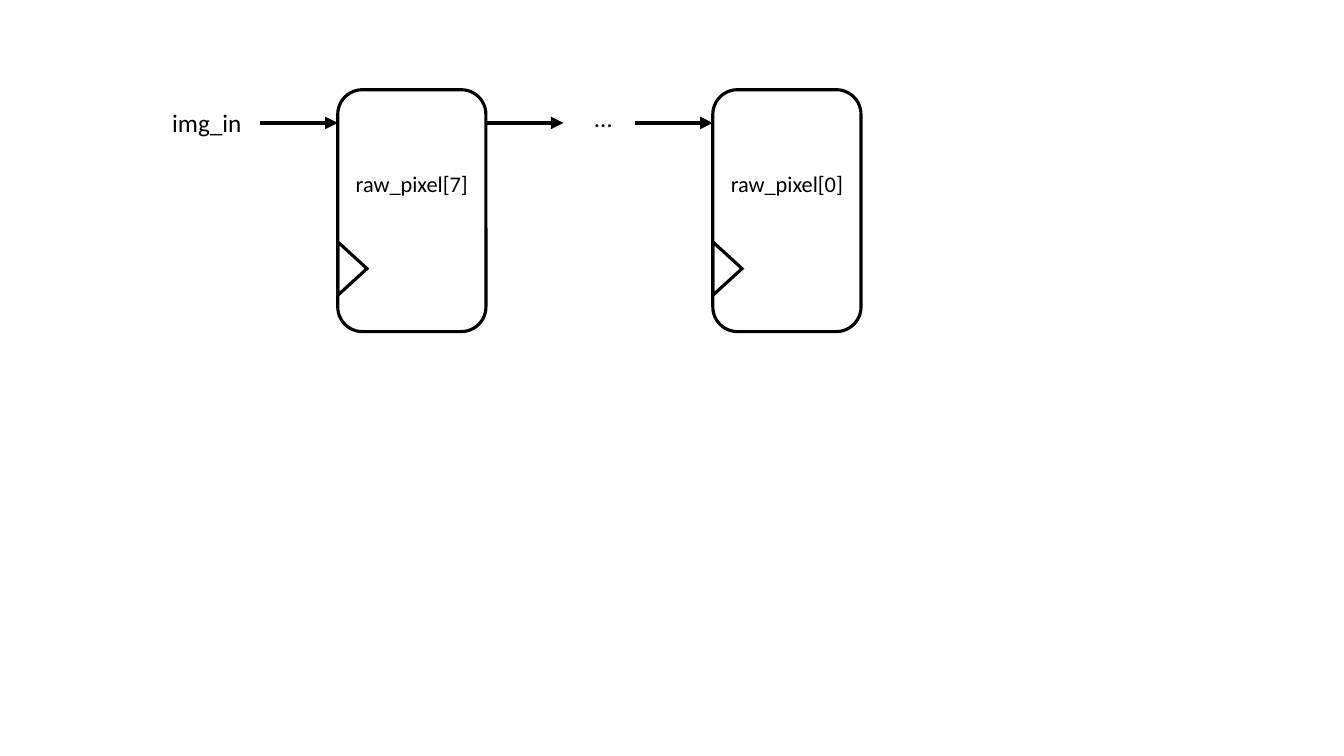
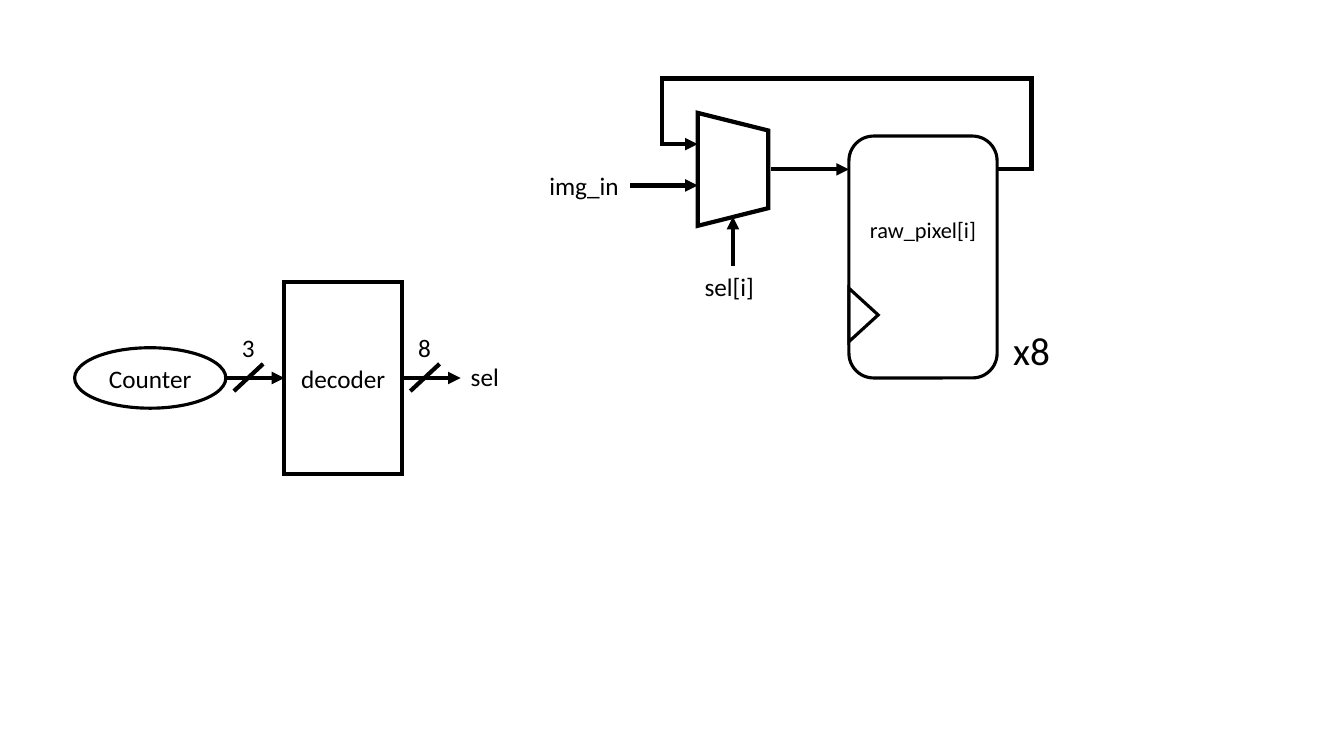
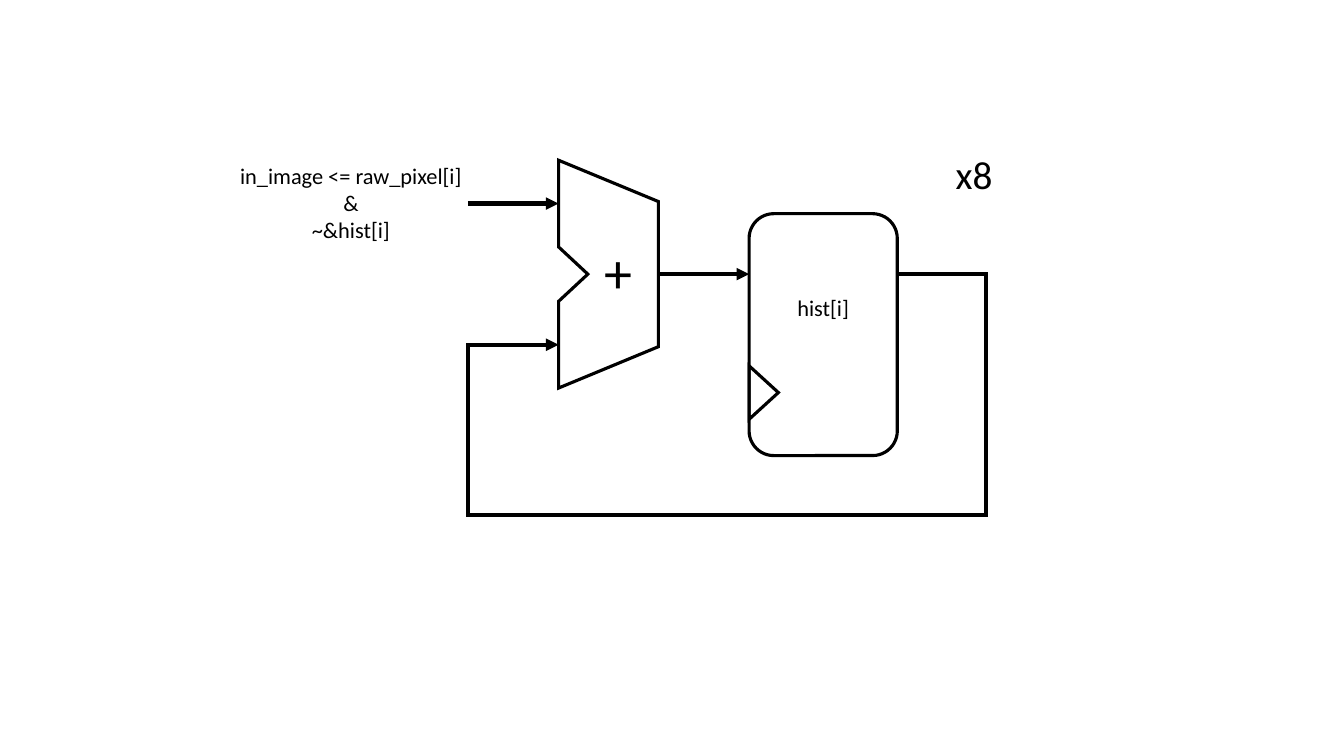
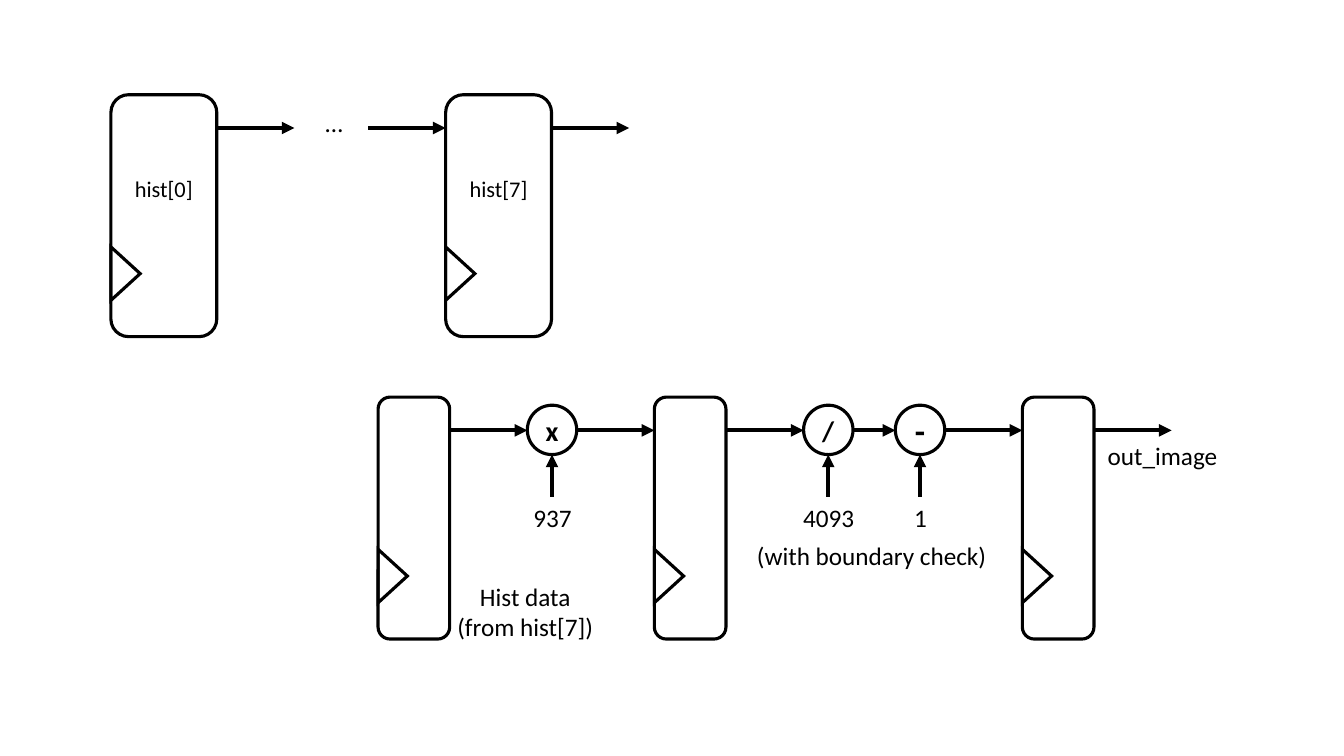
"""Build four slides of register and datapath block diagrams."""
from dataclasses import dataclass

from lxml import etree
from pptx import Presentation
from pptx.dml.color import RGBColor
from pptx.enum.shapes import MSO_CONNECTOR, MSO_SHAPE
from pptx.enum.text import MSO_ANCHOR, PP_ALIGN
from pptx.oxml.ns import qn
from pptx.util import Inches, Pt

ROUNDED, RECTANGLE, OVAL = MSO_SHAPE.ROUNDED_RECTANGLE, MSO_SHAPE.RECTANGLE, MSO_SHAPE.OVAL
TRIANGLE, TRAPEZOID = MSO_SHAPE.ISOSCELES_TRIANGLE, MSO_SHAPE.TRAPEZOID
STRAIGHT = MSO_CONNECTOR.STRAIGHT
LEFT, CENTER, MIDDLE = PP_ALIGN.LEFT, PP_ALIGN.CENTER, MSO_ANCHOR.MIDDLE


@dataclass(frozen=True)
class Theme:
    """Colours, type sizes and line weights of the deck."""
    ink: RGBColor = RGBColor(0, 0, 0)
    font: str = "Calibri"
    register: int = 16
    signal: int = 18
    operator: int = 20
    minus: int = 24
    repeat: int = 28
    adder: int = 40
    outline: float = 2.25
    wire: float = 3


@dataclass(frozen=True)
class Box:
    """A rectangle on a grid of one-inch columns and rows."""
    left: float
    top: float
    width: float
    height: float

    @property
    def right(self):
        """Right edge."""
        return self.left + self.width

    @property
    def bottom(self):
        """Bottom edge."""
        return self.top + self.height

    @property
    def cx(self):
        """Horizontal centre."""
        return self.left + self.width / 2

    @property
    def cy(self):
        """Vertical centre."""
        return self.top + self.height / 2

    def emu(self):
        """Position and size as lengths for python-pptx."""
        return [Inches(n) for n in (self.left, self.top, self.width, self.height)]


THEME = Theme()
SLIDE = Box(0, 0, 13.33, 7.5)
REGISTER_WIDTH, REGISTER_HEIGHT = 1.47, 2.4
PIN = 0.33
WIRE = 0.77
LINE = 0.4


def stroke(shape, weight, arrow=False):
    """Draw an ink line with sharp corners and an optional arrowhead."""
    shape.line.color.rgb = THEME.ink
    shape.line.width = Pt(weight)
    properties = shape._element.spPr
    line = properties.find(qn("a:ln"))
    etree.SubElement(line, qn("a:miter"), lim="800000")
    if arrow:
        etree.SubElement(line, qn("a:tailEnd"), type="triangle")
    if properties.find(qn("a:effectLst")) is None:
        etree.SubElement(properties, qn("a:effectLst"))


def write(shape, text, size, align=CENTER, bold=False):
    """Write one paragraph for each line of text."""
    frame = shape.text_frame
    frame.text = text
    for paragraph in frame.paragraphs:
        paragraph.alignment = align
        font = paragraph.font
        font.name, font.size, font.bold = THEME.font, Pt(size), bold
        font.color.rgb = THEME.ink


def inset(shape, left=0, bottom=0):
    """Centre text vertically inside the given insets."""
    frame = shape.text_frame
    frame.vertical_anchor = MIDDLE
    frame.margin_left, frame.margin_bottom = Inches(left), Inches(bottom)
    frame.margin_right = frame.margin_top = 0


def block(shapes, kind, box, text="", size=THEME.signal, weight=THEME.outline, bold=False):
    """Add an unfilled block with centred text."""
    shape = shapes.add_shape(kind, *box.emu())
    shape.fill.background()
    stroke(shape, weight)
    inset(shape)
    if text:
        write(shape, text, size, bold=bold)
    return shape


def turned(shapes, kind, box, weight):
    """Add a block turned clockwise a quarter so that it fills the box."""
    upright = Box(box.cx - box.height / 2, box.cy - box.width / 2, box.height, box.width)
    block(shapes, kind, upright, weight=weight).rotation = 90


def label(shapes, box, text, size=THEME.signal, align=LEFT, wrap=False):
    """Add free-standing text."""
    caption = shapes.add_textbox(*box.emu())
    caption.text_frame.word_wrap = wrap
    write(caption, text, size, align)


def wire(shapes, start, end, arrow=True):
    """Join two points with a straight line."""
    ends = [Inches(n) for n in (*start, *end)]
    stroke(shapes.add_connector(STRAIGHT, *ends), THEME.wire, arrow)


def outline(shapes, points, weight, closed=False, arrow=False):
    """Draw an unfilled outline through the points."""
    first, *rest = [(Inches(x), Inches(y)) for x, y in points]
    builder = shapes.build_freeform(*first)
    builder.add_line_segments(rest, close=closed)
    shape = builder.convert_to_shape()
    shape.shadow.inherit = False
    shape.fill.background()
    stroke(shape, weight, arrow)
    return shape


def register(shapes, left, top, width=REGISTER_WIDTH, name=""):
    """Add a register with its clock mark and return its box."""
    box = Box(left, top, width, REGISTER_HEIGHT)
    body = block(shapes, ROUNDED, box, name, THEME.register)
    inset(body, bottom=0.54)
    turned(shapes, TRIANGLE, Box(left, top + 1.51, 0.29, 0.53), THEME.outline)
    return box


def shift_chain(shapes, box, width, names):
    """Draw the first and last registers of a chain and return their boxes."""
    first = register(shapes, box.left, box.top, width, names[0])
    last = register(shapes, box.right - width, box.top, width, names[1])
    y = box.top + PIN
    wire(shapes, (first.right, y), (first.right + WIRE, y))
    label(shapes, Box(first.right + 0.98, box.top + 0.08, 0.64, LINE), "…", wrap=True)
    wire(shapes, (last.left - WIRE, y), (last.left, y))
    return first, last


def pixel_chain(shapes, box):
    """Draw the raw pixel chain fed by the image input."""
    first, _ = shift_chain(shapes, box, REGISTER_WIDTH, ("raw_pixel[7]", "raw_pixel[0]"))
    y = box.top + PIN
    wire(shapes, (first.left - WIRE, y), (first.left, y))
    label(shapes, Box(first.left - 1.74, y - 0.2, 0.9, LINE), "img_in")


def histogram_chain(shapes, box):
    """Draw the histogram chain with its output wire."""
    _, last = shift_chain(shapes, box, 1.05, ("hist[0]", "hist[7]"))
    y = box.top + PIN
    wire(shapes, (last.right, y), (last.right + WIRE, y))


def pixel_select(shapes, box):
    """Draw a pixel register that holds or loads through a multiplexer."""
    store = register(shapes, box.left + 3.07, box.top + 0.57, name="raw_pixel[i]")
    y = store.top + PIN
    mux = Box(box.left + 1.57, y - 0.56, 0.7, 1.12)
    turned(shapes, TRAPEZOID, mux, THEME.wire)
    wire(shapes, (store.left - WIRE, y), (store.left, y))
    load, hold = y + 0.16, y - 0.25
    wire(shapes, (mux.left - 0.67, load), (mux.left, load))
    label(shapes, Box(box.left, load - 0.2, 0.9, LINE), "img_in")
    far, near = store.right + 0.34, mux.left - 0.35
    outline(shapes, [(store.right, y), (far, y), (far, box.top), (near, box.top),
                     (near, hold), (mux.left, hold)], THEME.wire, arrow=True)
    wire(shapes, (mux.cx, mux.bottom + 0.4), (mux.cx, mux.bottom - 0.09))
    label(shapes, Box(mux.cx - 0.38, mux.bottom + 0.4, 0.7, LINE), "sel[i]")
    label(shapes, Box(store.right + 0.06, store.bottom - 0.56, 0.57, 0.57), "x8", THEME.repeat)


def bus(shapes, left, y, bits):
    """Draw a bus arrow with a slash and its width in bits."""
    wire(shapes, (left, y), (left + 0.58, y))
    mark = left + 0.22
    wire(shapes, (mark + 0.15, y - 0.14), (mark - 0.14, y + 0.13), arrow=False)
    label(shapes, Box(mark - 0.16, y - 0.5, 0.33, LINE), bits)


def select_decoder(shapes, box):
    """Draw the counter and the decoder that makes the select lines."""
    counter = Box(box.left, box.cy - 0.3, 1.5, 0.6)
    decoder = Box(counter.right + 0.58, box.top, 1.17, box.height)
    block(shapes, OVAL, counter, "Counter")
    block(shapes, RECTANGLE, decoder, "decoder", weight=THEME.wire)
    bus(shapes, counter.right, box.cy, "3")
    bus(shapes, decoder.right, box.cy, "8")
    label(shapes, Box(decoder.right + 0.58, box.cy - 0.21, 0.48, LINE), "sel")


def histogram_counter(shapes, box):
    """Draw the adder that feeds a histogram register in a loop."""
    adder = Box(box.left + 0.9, box.top, 0.99, 2.26)
    y, slope, notch = adder.cy, 0.41, 0.27
    body = outline(shapes, [
        (adder.left, adder.top), (adder.right, adder.top + slope),
        (adder.right, adder.bottom - slope), (adder.left, adder.bottom),
        (adder.left, y + notch), (adder.left + 0.29, y), (adder.left, y - notch),
    ], THEME.outline, closed=True)
    inset(body, left=0.2, bottom=0.06)
    write(body, "+", THEME.adder)
    store = register(shapes, adder.right + 0.9, y - 0.6, name="hist[i]")
    wire(shapes, (adder.right, y), (store.left, y))
    upper, lower = y - 0.7, y + 0.7
    wire(shapes, (box.left, upper), (adder.left, upper))
    outline(shapes, [(store.right, y), (box.right, y), (box.right, box.bottom),
                     (box.left, box.bottom), (box.left, lower), (adder.left, lower)],
            THEME.wire, arrow=True)
    label(shapes, Box(box.left - 2.37, upper - 0.46, 2.42, 0.91),
          "in_image <= raw_pixel[i]\n&\n~&hist[i]", THEME.register, CENTER)
    label(shapes, Box(box.right - 0.4, box.top - 0.15, 0.57, 0.57), "x8", THEME.repeat)


def operator(shapes, left, y, sign, size, constant):
    """Draw an operator with the constant below it and return its right edge."""
    circle = Box(left, y - 0.25, 0.49, 0.49)
    block(shapes, OVAL, circle, sign, size, bold=True)
    foot = circle.bottom + 0.42
    wire(shapes, (circle.cx, foot), (circle.cx, circle.bottom))
    label(shapes, Box(circle.cx - 0.52, foot, 1.05, LINE), constant, align=CENTER, wrap=True)
    return circle.right


def output_pipeline(shapes, box):
    """Draw the scaling pipeline, one register before each stage and one at the end."""
    stages = [
        [("x", THEME.operator, "937")],
        [("/", THEME.operator, "4093"), ("-", THEME.minus, "1")],
        [],
    ]
    y, x = box.top + PIN, box.left
    for stage in stages:
        x = register(shapes, x, box.top, 0.71).right
        reach = WIRE
        for sign, size, constant in stage:
            wire(shapes, (x, y), (x + reach, y))
            x = operator(shapes, x + reach, y, sign, size, constant)
            reach = 0.42
        wire(shapes, (x, y), (x + WIRE, y))
        x += WIRE
    label(shapes, Box(box.left + 0.68, box.bottom - 0.62, 1.56, 0.71),
          "Hist data\n(from hist[7])", align=CENTER)
    label(shapes, Box(box.left + 3.66, box.top + 1.37, 2.5, LINE), "(with boundary check)")
    label(shapes, Box(x - 0.87, y + 0.05, 1.56, LINE), "out_image", align=CENTER, wrap=True)


def main():
    """Place the regions of each slide and save the deck."""
    deck = Presentation()
    deck.slide_width, deck.slide_height = Inches(SLIDE.width), Inches(SLIDE.height)
    blank = deck.slide_layouts[6]
    slides = [
        [(pixel_chain, Box(3.35, 0.89, 5.19, REGISTER_HEIGHT))],
        [(pixel_select, Box(5.35, 0.78, 5.17, 2.97)),
         (select_decoder, Box(0.74, 2.8, 4.31, 1.9))],
        [(histogram_counter, Box(4.64, 1.59, 5.14, 3.52))],
        [(output_pipeline, Box(3.75, 3.94, 7.87, REGISTER_HEIGHT)),
         (histogram_chain, Box(1.1, 0.94, 4.37, REGISTER_HEIGHT))],
    ]
    for regions in slides:
        slide = deck.slides.add_slide(blank)
        for draw, box in regions:
            draw(slide.shapes.add_group_shape().shapes, box)
    deck.save("out.pptx")


main()
